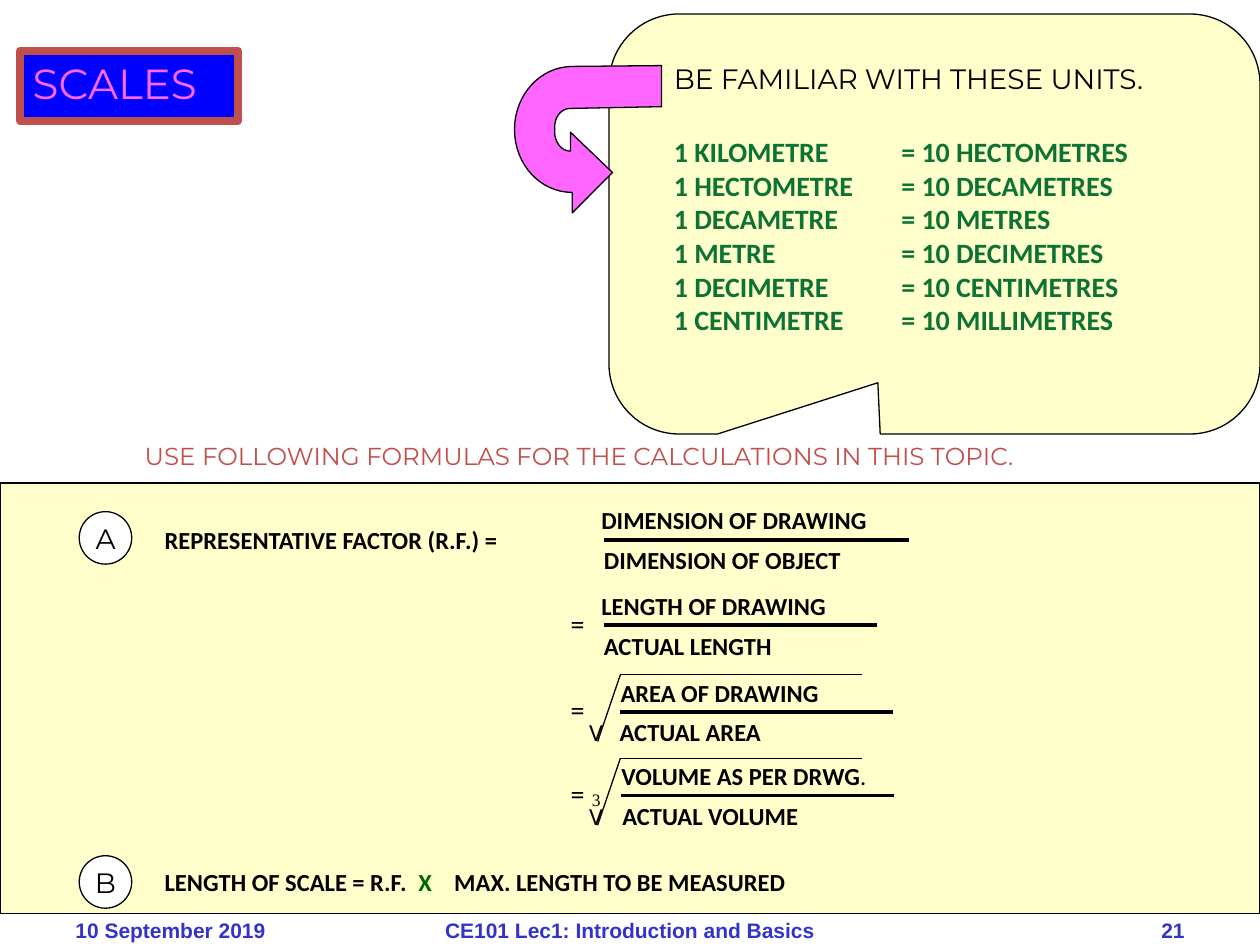
from lxml import etree
from pptx import Presentation
from pptx.dml.color import RGBColor
from pptx.enum.shapes import MSO_CONNECTOR, MSO_SHAPE as Shape
from pptx.enum.text import MSO_ANCHOR as Anchor, MSO_AUTO_SIZE as Fit, PP_ALIGN as Align
from pptx.oxml.ns import qn
from pptx.util import Pt

BLACK = RGBColor(0, 0, 0)
WHITE = RGBColor(255, 255, 255)
CREAM = RGBColor(255, 255, 204)
BLUE = RGBColor(0, 0, 255)
RED = RGBColor(0xC0, 0x50, 0x4D)
PINK = RGBColor(255, 0x66, 255)
GREEN = RGBColor(0x0E, 0x72, 0x34)
LEAF = RGBColor(0, 0x66, 0)
NAVY = RGBColor(0x33, 0x33, 0xCC)
SANS, BODY = "Montserrat", "Calibri"

UNITS = ["KILOMETRE", "HECTOMETRE", "DECAMETRE", "METRE",
         "DECIMETRE", "CENTIMETRE", "MILLIMETRE"]

# Hook arrow, relative to the callout: one point is a line, three a curve
HOOK = [
    [(2, 90.6)], [(-21, 113.7)], [(-21, 102)],
    [(-39, 102), (-54, 86.3), (-54, 66)],
    [(-54, 46), (-39, 30), (-21, 30)],
    [(30, 29.5)], [(30, 53)], [(-22, 54)],
    [(-27, 54), (-31, 58.3), (-31, 64.7)], [(-31, 67.6)],
    [(-31, 73.4), (-27, 78.4), (-22, 78.4)], [(-22, 67.6)],
]


def paint(shape, fill, line=BLACK, weight=0.75):
    shape.fill.solid()
    shape.fill.fore_color.rgb = fill
    shape.line.color.rgb = line
    shape.line.width = Pt(weight)


def block(slide, kind, x, y, w, h, fill):
    shape = slide.shapes.add_shape(kind, Pt(x), Pt(y), Pt(w), Pt(h))
    shape.shadow.inherit = False
    paint(shape, fill)
    return shape


def style(para, size, name, color, bold=False):
    for run in para.runs:
        font = run.font
        font.size, font.name, font.bold = Pt(size), name, bold
        font.color.rgb = color


def label(slide, text, x, y, w, h=24, size=14, name=BODY, color=BLACK, bold=False):
    box = slide.shapes.add_textbox(Pt(x), Pt(y), Pt(w), Pt(h))
    frame = box.text_frame
    frame.word_wrap = False
    frame.text = text
    for para in frame.paragraphs:
        style(para, size, name, color, bold)
    return frame


def rule(slide, x1, y1, x2, y2, weight=0.75):
    line = slide.shapes.add_connector(MSO_CONNECTOR.STRAIGHT, Pt(x1), Pt(y1), Pt(x2), Pt(y2))
    line.line.color.rgb = BLACK
    line.line.width = Pt(weight)
    etree.SubElement(line._element.spPr, qn("a:effectLst"))


def heading(slide, x, y, w, h):
    title = slide.shapes.title
    title.left, title.top, title.width, title.height = Pt(x), Pt(y), Pt(w), Pt(h)
    paint(title, BLUE, RED, 4.5)
    frame = title.text_frame
    frame.text = "SCALES"
    frame.word_wrap = False
    frame.auto_size = Fit.NONE
    frame.vertical_anchor = Anchor.TOP
    para = frame.paragraphs[0]
    para.alignment = Align.LEFT
    style(para, 24, SANS, PINK)


def curve(start, a, b, end, steps=16):
    """Points along a cubic curve, without its start."""
    for i in range(1, steps + 1):
        t = i / steps
        u = 1 - t
        yield tuple(u**3 * p + 3 * u * u * t * q + 3 * u * t * t * r + t**3 * s
                    for p, q, r, s in zip(start, a, b, end))


def hook(slide, x, y):
    points = []
    for part in HOOK:
        points += curve(points[-1], *part) if len(part) == 3 else part
    spots = [(Pt(x + px), Pt(y + py)) for px, py in points]
    pen = slide.shapes.build_freeform(*spots[0])
    pen.add_line_segments(spots[1:], close=True)
    arrow = pen.convert_to_shape()
    arrow.shadow.inherit = False
    paint(arrow, PINK)


def units(slide, x, y, w, h):
    """Callout with the table of metric units."""
    call = block(slide, Shape.ROUNDED_RECTANGULAR_CALLOUT, x, y, w, h, CREAM)
    for i, value in enumerate((-0.087, 0.378, 0.167)):
        call.adjustments[i] = value
    label(slide, "BE FAMILIAR WITH THESE UNITS.", x + 30, y + 23.7, 316, 27, 16, SANS)
    left = "\n".join(f"1 {unit}" for unit in UNITS[:-1])
    right = "\n".join(f"= 10 {unit}S" for unit in UNITS[1:])
    for text, dx in ((left, 30), (right, 160)):
        label(slide, text, x + dx, y + 65.5, 145, 124, 16, color=GREEN, bold=True)
    hook(slide, x, y)


def badge(slide, letter, x, y, d=30):
    block(slide, Shape.OVAL, x, y, d, d, WHITE)
    frame = label(slide, letter, x + 1.3, y + 2, d - 2.6, 26.6, 16, SANS)
    frame.paragraphs[0].alignment = Align.CENTER


def ratio(slide, top, low, x, y, w, shift=0):
    """Fraction whose bar starts at x, y; shift moves the lower text."""
    label(slide, low, x - 7 + shift, y - 0.5, w, bold=True)
    rule(slide, x, y, x + w, y, 2.25)
    return label(slide, top, x - 7, y - 23.2, w, bold=True)


def root(slide, x, y):
    """Radical sign around a fraction whose bar starts at x, y."""
    label(slide, "V", x - 25, y - 0.7, 24)
    rule(slide, x - 13, y + 17, x, y - 21.2)
    rule(slide, x, y - 21.2, x + 138, y - 21.2)


def scale(slide, x, y):
    frame = label(slide, "LENGTH OF SCALE = R.F.\tX\tMAX. LENGTH TO BE MEASURED", x, y, 372)
    para = frame.paragraphs[0]
    tabs = etree.SubElement(para._p.get_or_add_pPr(), qn("a:tabLst"))
    for stop in (145, 165.5):
        etree.SubElement(tabs, qn("a:tab"), pos=str(Pt(stop)), algn="l")
    para.text = ""
    for text, color in (("LENGTH OF SCALE = R.F.\t", BLACK), ("X", LEAF),
                        ("\tMAX. LENGTH TO BE MEASURED", BLACK)):
        run = para.add_run()
        run.text = text
        run.font.size, run.font.name, run.font.bold = Pt(14), BODY, True
        run.font.color.rgb = color


def formulas(slide, x, y, w, h):
    block(slide, Shape.RECTANGLE, x, y, w, h, CREAM)
    badge(slide, "A", x + 45.3, y + 16.4)
    badge(slide, "B", x + 45.3, y + 213)
    label(slide, "REPRESENTATIVE FACTOR (R.F.) =", x + 87, y + 20.6, 255, bold=True)
    scale(slide, x + 87, y + 215.8)

    ratio(slide, "DIMENSION OF DRAWING", "DIMENSION OF OBJECT", x + 345, y + 32.4, 174.5).margin_left = Pt(5.6)
    ratio(slide, "LENGTH OF DRAWING", "ACTUAL LENGTH", x + 345, y + 81.3, 156).margin_left = Pt(5.6)
    ratio(slide, "AREA OF DRAWING", "ACTUAL AREA", x + 354.5, y + 130.8, 156, -0.5)
    volume = ratio(slide, "VOLUME AS PER DRWG", "ACTUAL VOLUME", x + 355, y + 178.6, 156, 0.5)
    dot = volume.paragraphs[0].add_run()
    dot.text = "."
    dot.font.size, dot.font.name = Pt(14), BODY
    dot.font.color.rgb = BLACK

    for bar in (81.3, 130.8, 178.6):
        label(slide, "=", x + 319, y + bar - 14.4, 24, 26.6, 16)
    for bar in (130.8, 178.6):
        root(slide, x + 354.5, y + bar)
    label(slide, "3", x + 331.2, y + 171.4, 19.4, 19.4, 10, "Times New Roman")


def footer(slide, y, h):
    for text, x, w, side in (
            ("10 September 2019", 36, 168, Align.LEFT),
            ("CE101 Lec1: Introduction and Basics", 222, 276, Align.CENTER),
            ("21", 516, 168, Align.RIGHT)):
        frame = label(slide, text, x, y, w, h, 12, "Arial", NAVY, True)
        frame.word_wrap = True
        frame.vertical_anchor = Anchor.MIDDLE
        frame.paragraphs[0].alignment = side


def main():
    deck = Presentation()
    deck.slide_width, deck.slide_height = Pt(720), Pt(540)
    slide = deck.slides.add_slide(deck.slide_layouts[5])
    heading(slide, 11.5, 29, 124.5, 40)
    formulas(slide, 0, 276, 720, 246)
    label(slide, "USE FOLLOWING FORMULAS FOR THE CALCULATIONS IN THIS TOPIC.",
          75.6, 248.4, 559, name=SANS, color=RED)
    units(slide, 348, 8, 372, 240)
    footer(slide, 517, 29)
    deck.save("out.pptx")


if __name__ == "__main__":
    main()
